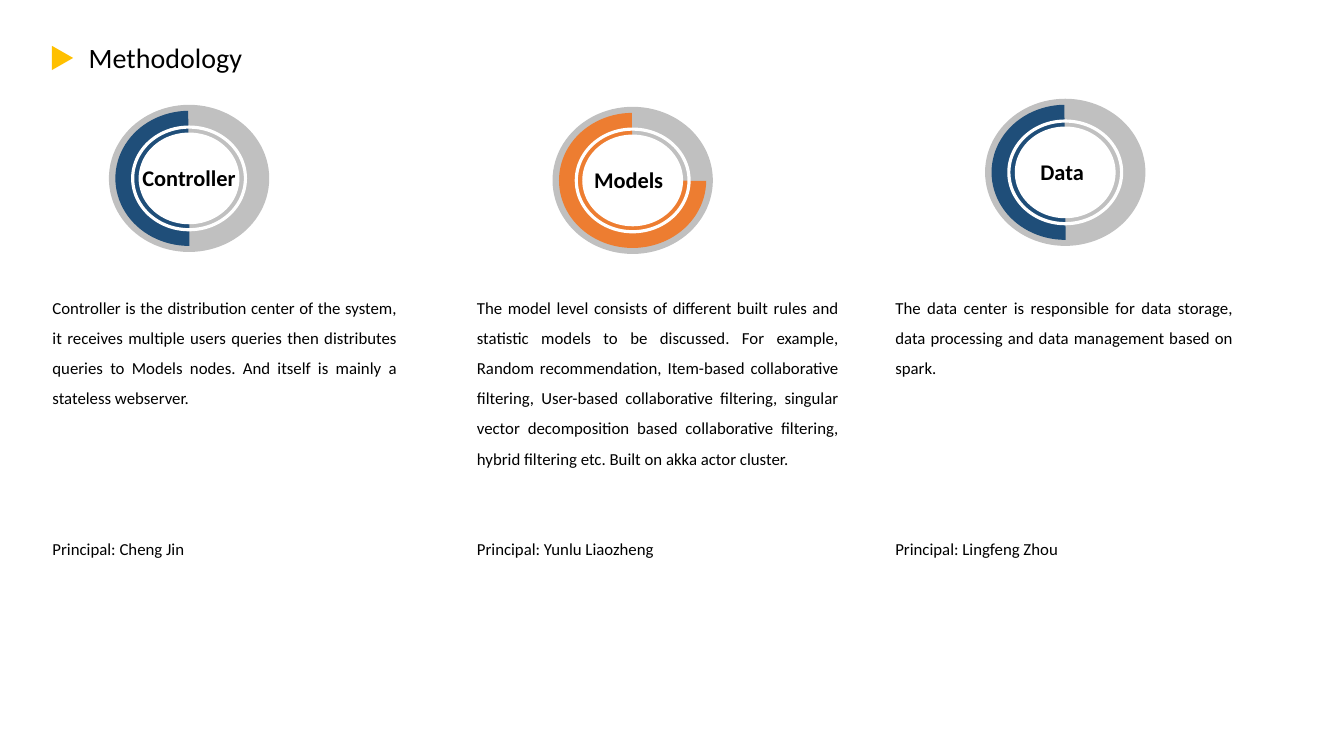
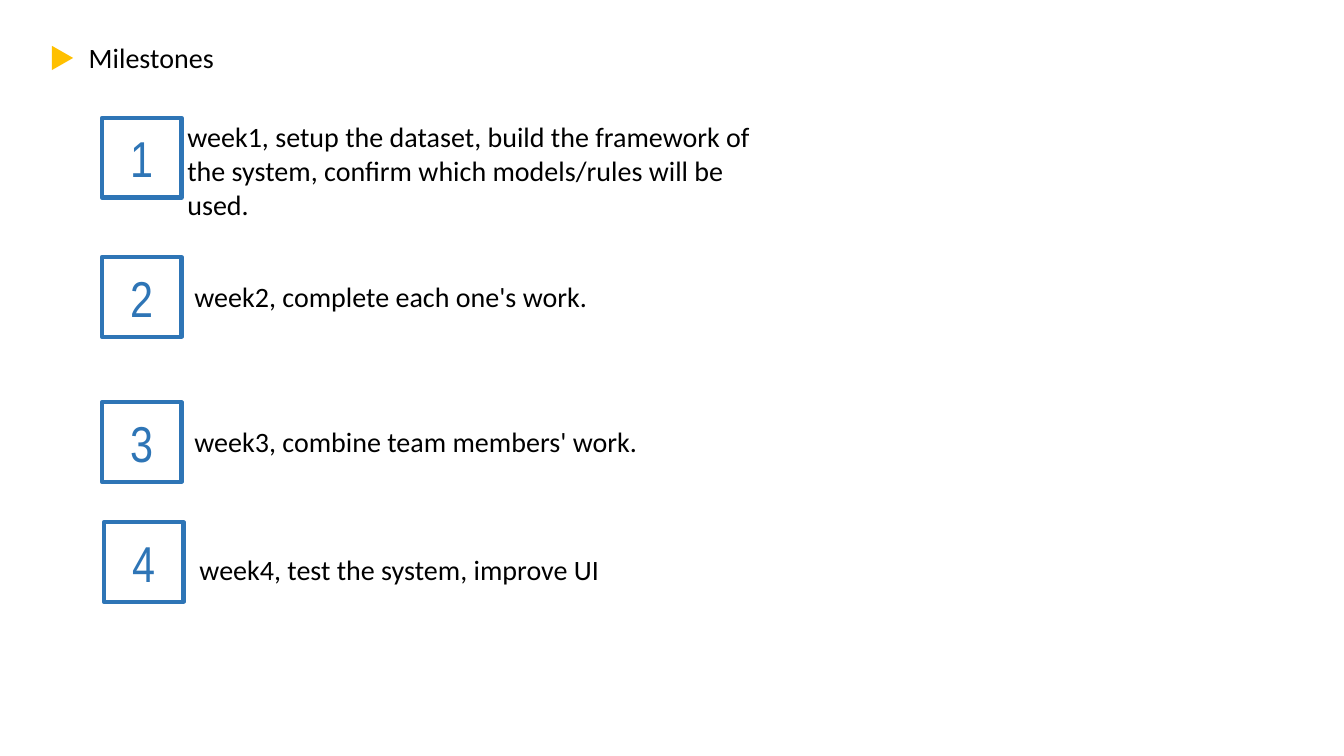
from pptx import Presentation
from pptx.dml.color import RGBColor
from pptx.enum.shapes import MSO_SHAPE
from pptx.enum.text import MSO_ANCHOR, MSO_AUTO_SIZE, PP_ALIGN
from pptx.util import Inches, Pt

COLORS = {
    "text": "000000",
    "white": "FFFFFF",
    "marker": "FFC000",
    "ring": "C0C0C0",
    "navy": "1F4E79",
    "orange": "ED7D31",
    "blue": "2E75B6",
}
BODY_FONT = "Calibri"
NUMBER_FONT = "Arial Narrow"
TITLE_ONLY_LAYOUT = 5
BODY_LINE = 21.5  # points taken by one 12 pt line at 1.5 spacing

RING_WIDTH, RING_HEIGHT = 1.59, 1.46
HALF_ARC_START, THREE_QUARTER_ARC_START = 53.78, 0.23
ARC_END, ARC_THICKNESS = 161.59, 0.2

# name, ring left, ring top, label left, arc start, arc colour
RINGS = [
    ("Controller", 1.08, 1.04, 1.19, HALF_ARC_START, "navy"),
    ("Models", 5.48, 1.06, 5.55, THREE_QUARTER_ARC_START, "orange"),
    ("Data", 9.77, 0.98, 9.85, HALF_ARC_START, "navy"),
]

# left, width, description, principal, free lines between the two
COLUMNS = [
    (0.52, 3.42,
     "Controller is the distribution center of the system, it receives "
     "multiple users queries then distributes queries to Models nodes. "
     "And itself is mainly a stateless webserver.",
     "Principal: Cheng Jin", 4),
    (4.73, 3.59,
     "The model level consists of different built rules and statistic models "
     "to be discussed. For example, Random recommendation, Item-based "
     "collaborative filtering, User-based collaborative filtering, singular "
     "vector decomposition based collaborative filtering, hybrid filtering "
     "etc. Built on akka actor cluster.",
     "Principal: Yunlu Liaozheng", 2),
    (8.88, 3.35,
     "The data center is responsible for data storage, data processing and "
     "data management based on spark.",
     "Principal: Lingfeng Zhou", 5),
]

# square left, square top, text left, text top, text width, text height, text
MILESTONES = [
    (1.01, 1.17, 1.76, 1.14, 5.98, 1.11,
     "week1, setup the dataset, build the framework of the system, "
     "confirm which models/rules will be used."),
    (1.01, 2.55, 1.83, 2.72, 5.98, 0.44, "week2, complete each one's work."),
    (1.01, 3.99, 1.83, 4.16, 5.98, 0.44, "week3, combine team members' work."),
    (1.03, 5.18, 1.88, 5.43, 5.98, 0.44, "week4, test the system, improve UI"),
]


def rgb(name):
    return RGBColor.from_string(COLORS[name])


def format_paragraph(paragraph, size, color="text", font=BODY_FONT,
                     bold=False, align=PP_ALIGN.LEFT):
    paragraph.alignment = align
    for span in paragraph.runs:
        span.font.name = font
        span.font.size = Pt(size)
        span.font.bold = bold
        span.font.color.rgb = rgb(color)


def add_text(page, left, top, width, height, text, size, **style):
    """Add a wrapping text box; each line of text becomes a paragraph."""
    box = page.shapes.add_textbox(
        Inches(left), Inches(top), Inches(width), Inches(height))
    box.text_frame.word_wrap = True
    box.text_frame.text = text
    for paragraph in box.text_frame.paragraphs:
        format_paragraph(paragraph, size, **style)
    return box


def add_filled(page, preset, left, top, width, height, color):
    shape = page.shapes.add_shape(
        preset, Inches(left), Inches(top), Inches(width), Inches(height))
    shape.shadow.inherit = False
    shape.fill.solid()
    shape.fill.fore_color.rgb = rgb(color)
    shape.line.fill.background()
    return shape


def add_page(deck, title_text):
    """Add a slide with the shared title and its triangular marker."""
    page = deck.slides.add_slide(deck.slide_layouts[TITLE_ONLY_LAYOUT])
    title = page.shapes.title
    title.left, title.top = Inches(0.78), Inches(0.35)
    title.width, title.height = Inches(6), Inches(0.44)
    frame = title.text_frame
    frame.text = title_text
    frame.auto_size = MSO_AUTO_SIZE.NONE
    frame.vertical_anchor = MSO_ANCHOR.TOP
    format_paragraph(frame.paragraphs[0], 20)
    marker = add_filled(page, MSO_SHAPE.ISOSCELES_TRIANGLE,
                        0.5, 0.47, 0.24, 0.21, "marker")
    marker.rotation = 90
    return page


def add_ring(page, name, left, top, label_left, arc_start, arc_color):
    def add_centred(preset, width, height, color):
        return add_filled(page, preset, left + (RING_WIDTH - width) / 2,
                          top + (RING_HEIGHT - height) / 2,
                          width, height, color)

    add_centred(MSO_SHAPE.OVAL, RING_WIDTH, RING_HEIGHT, "ring")
    arc = add_centred(MSO_SHAPE.BLOCK_ARC, 1.46, 1.34, arc_color)
    for index, value in enumerate((arc_start, ARC_END, ARC_THICKNESS)):
        arc.adjustments[index] = value
    gap = add_centred(MSO_SHAPE.DONUT, 1.15, 1.05, "white")
    gap.adjustments[0] = 0.03
    add_centred(MSO_SHAPE.OVAL, 1, 0.91, "white")
    add_text(page, label_left, top + 0.54, 1.37, 0.37, name, 16,
             bold=True, align=PP_ALIGN.CENTER)


def add_column(page, left, width, description, principal, free_lines):
    box = add_text(page, left, 2.8, width, 2.8, f"{description}\n{principal}",
                   12, align=PP_ALIGN.JUSTIFY)
    frame = box.text_frame
    frame.margin_left = frame.margin_right = 0
    for paragraph in frame.paragraphs:
        paragraph.line_spacing = 1.5
    frame.paragraphs[-1].space_before = Pt(free_lines * BODY_LINE)


def add_number_square(page, number, left, top):
    square = page.shapes.add_shape(
        MSO_SHAPE.RECTANGLE, Inches(left), Inches(top),
        Inches(0.79), Inches(0.79))
    square.shadow.inherit = False
    square.fill.background()
    square.line.color.rgb = rgb("blue")
    square.line.width = Pt(3)
    frame = square.text_frame
    frame.text = str(number)
    frame.vertical_anchor = MSO_ANCHOR.MIDDLE
    format_paragraph(frame.paragraphs[0], 36, "blue", NUMBER_FONT,
                     align=PP_ALIGN.CENTER)


def main():
    deck = Presentation()
    deck.slide_width, deck.slide_height = Inches(13.33), Inches(7.5)

    methodology = add_page(deck, "Methodology")
    for ring in RINGS:
        add_ring(methodology, *ring)
    for column in COLUMNS:
        add_column(methodology, *column)

    milestones = add_page(deck, "Milestones")
    for number, (left, top, *text_area, text) in enumerate(MILESTONES, 1):
        add_number_square(milestones, number, left, top)
        add_text(milestones, *text_area, text, 20)

    deck.save("out.pptx")


if __name__ == "__main__":
    main()
